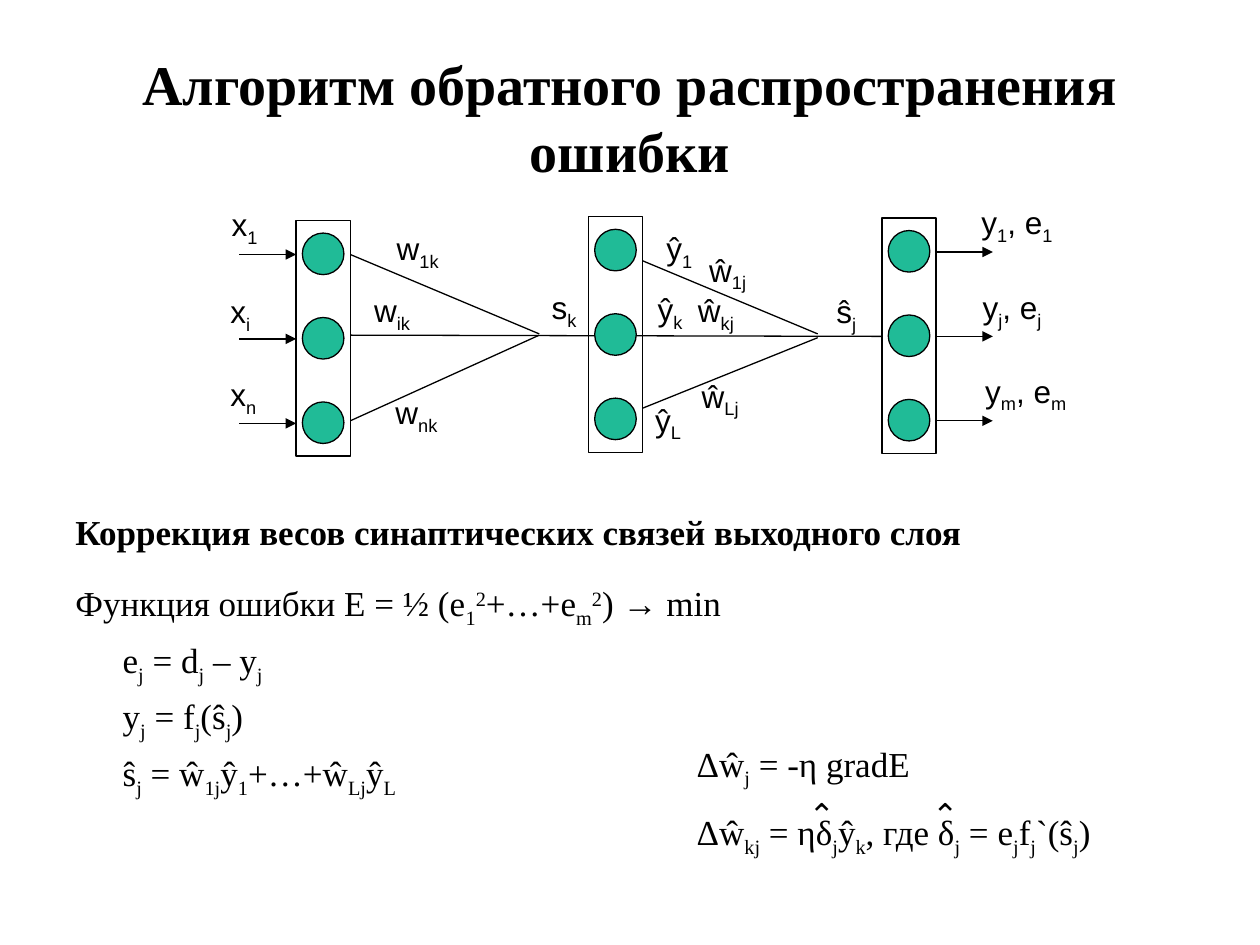
from dataclasses import dataclass

from lxml import etree
from pptx import Presentation
from pptx.dml.color import RGBColor
from pptx.enum.shapes import MSO_CONNECTOR, MSO_SHAPE
from pptx.enum.text import MSO_ANCHOR, PP_ALIGN
from pptx.oxml.ns import qn
from pptx.util import Pt

RECT, OVAL = MSO_SHAPE.RECTANGLE, MSO_SHAPE.OVAL
LINE = MSO_CONNECTOR.STRAIGHT
MIDDLE, CENTER = MSO_ANCHOR.MIDDLE, PP_ALIGN.CENTER
SCALE = 9144  # EMU per px, 100 px to the inch


@dataclass(frozen=True)
class Theme:
    ink: RGBColor = RGBColor(0x00, 0x00, 0x00)
    node: RGBColor = RGBColor(0x20, 0xBB, 0x97)
    serif: str = "Times New Roman"
    sans: str = "Arial"
    hat: str = "Open Sans"
    title: int = 32
    body: int = 20
    label: int = 18
    stroke: float = 0.75


THEME = Theme()
SHIFT = {"_": "-25000", "^": "30000"}

# Layers: left and top of each frame
LAYERS = [(235, 175), (467, 172), (700, 173)]
FRAME_W, FRAME_H = 43, 187
NODE, STEP = 33, 67

# Links between layers: x1, y1, x2, y2
LINKS = [
    (278, 266, 700, 267),
    (278, 202, 428, 265), (278, 334, 428, 266),
    (510, 207, 649, 265), (510, 324, 649, 268),
]

# Labels: left, top, width, text with "_" for a subscript part
LABELS = [
    (174, 158, 58, "x|_1"), (173, 227, 58, "x|_i"), (173, 293, 58, "x|_n"),
    (305, 177, 58, "w|_1k"), (287, 226, 58, "w|_ik"), (304, 307, 58, "w|_nk"),
    (428, 224, 58, "s|_k"), (654, 227, 58, "ŝ|_j"),
    (519, 177, 58, "ŷ|_1"), (512, 225, 58, "ŷ|_k"), (510, 313, 58, "ŷ|_L"),
    (553, 194, 58, "ŵ|_1j"), (544, 226, 58, "ŵ|_kj"), (547, 294, 58, "ŵ|_Lj"),
    (769, 156, 79, "y|_1|, e|_1"), (770, 224, 79, "y|_j|, e|_j"),
    (772, 290, 97, "y|_m|, e|_m"),
]

HEADING = "Коррекция весов синаптических связей выходного слоя"
ERROR = "Функция ошибки E = ½ (e|_1|^2|+…+e|_m|^2|) |→| min"
TERMS = [
    "e|_j| = d|_j| – y|_j",
    "y|_j| = f|_j|(ŝ|_j|)",
    "ŝ|_j| = ŵ|_1j|ŷ|_1|+…+ŵ|_Lj|ŷ|_L",
]
RULES = [
    "Δŵ|_j| = -η gradE",
    "Δŵ|_kj| = ηδ|_j|ŷ|_k|, где δ|_j| = e|_j|f|_j|`(ŝ|_j|)",
]


def px(*nums):
    return [round(n * SCALE) for n in nums]


def style(run, font, size, bold=False):
    run.font.name = font
    run.font.size = Pt(size)
    run.font.bold = bold
    run.font.color.rgb = THEME.ink


def write(para, text, font, size, bold=False):
    """Fill a paragraph; parts led by _ or ^ are lowered or raised."""
    for part in text.split("|"):
        run = para.add_run()
        shift = SHIFT.get(part[0])
        run.text = part[1:] if shift else part
        style(run, THEME.sans if part == "→" else font, size, bold)
        if shift:
            run.font._element.set("baseline", shift)


def add_box(shapes, x, y, w, h, wrap=True):
    frame = shapes.add_textbox(*px(x, y, w, h)).text_frame
    frame.word_wrap = wrap
    return frame


def add_label(shapes, x, y, w, text):
    frame = add_box(shapes, x, y, w, 44)
    write(frame.paragraphs[0], text, THEME.sans, THEME.label)


def add_line(shapes, ends, arrow=False):
    line = shapes.add_connector(LINE, *px(*ends))
    line.line.color.rgb = THEME.ink
    line.line.width = Pt(THEME.stroke)
    if arrow:
        tail = etree.SubElement(line.line._get_or_add_ln(), qn("a:tailEnd"))
        tail.set("type", "triangle")
    etree.SubElement(line._element.spPr, qn("a:effectLst"))


def add_shape(shapes, kind, x, y, w, h, fill=None):
    shape = shapes.add_shape(kind, *px(x, y, w, h))
    shape.shadow.inherit = False
    if fill is None:
        shape.fill.background()
    else:
        shape.fill.solid()
        shape.fill.fore_color.rgb = fill
    shape.line.color.rgb = THEME.ink
    shape.line.width = Pt(THEME.stroke)


def add_layer(shapes, x, y):
    for row in range(3):
        add_shape(shapes, OVAL, x + 5, y + 10 + row * STEP, NODE, NODE,
                  THEME.node)
    add_shape(shapes, RECT, x, y, FRAME_W, FRAME_H)


def add_title(slide, text):
    title = slide.shapes.title
    title.left, title.top, title.width, title.height = px(50, 30, 900, 125)
    frame = title.text_frame
    frame.text = text
    frame.vertical_anchor = MIDDLE
    para = frame.paragraphs[0]
    para.alignment = CENTER
    style(para.runs[0], THEME.serif, THEME.title, True)


def add_net(slide):
    shapes = slide.shapes.add_group_shape().shapes
    for ends in LINKS:
        add_line(shapes, ends)
    for x, y in LAYERS:
        add_layer(shapes, x, y)
    # Input and output arrows
    for row in range(3):
        for x1, x2, top in ((190, 235, 202), (742, 788, 200)):
            y = top + row * STEP
            add_line(shapes, (x1, y, x2, y), arrow=True)
    for label in LABELS:
        add_label(shapes, *label)


def add_body(slide):
    frame = add_box(slide.shapes, 50, 400, 900, 343)
    head = frame.paragraphs[0]
    head.space_after = Pt(12)
    write(head, HEADING, THEME.serif, THEME.body, True)
    for text in [ERROR, *TERMS]:
        para = frame.add_paragraph()
        para.space_before = Pt(5)
        if text in TERMS:
            props = para._p.get_or_add_pPr()
            props.set("marL", str(px(37.5)[0]))
        write(para, text, THEME.serif, THEME.body)


def add_rules(slide):
    frame = add_box(slide.shapes, 543, 584, 334, 103, wrap=False)
    first = frame.paragraphs[0]
    first.space_after = Pt(12)
    for para, text in zip((first, frame.add_paragraph()), RULES):
        write(para, text, THEME.serif, THEME.body)
    # Hats above the deltas
    for x in (632, 730):
        hat = add_box(slide.shapes, x, 626, 41, 40, wrap=False)
        write(hat.paragraphs[0], "⌃", THEME.hat, THEME.label)


def main():
    deck = Presentation()
    deck.slide_width, deck.slide_height = px(1000, 750)
    slide = deck.slides.add_slide(deck.slide_layouts[5])
    add_title(slide, "Алгоритм обратного распространения ошибки")
    add_body(slide)
    add_rules(slide)
    add_net(slide)
    deck.save("out.pptx")


if __name__ == "__main__":
    main()
